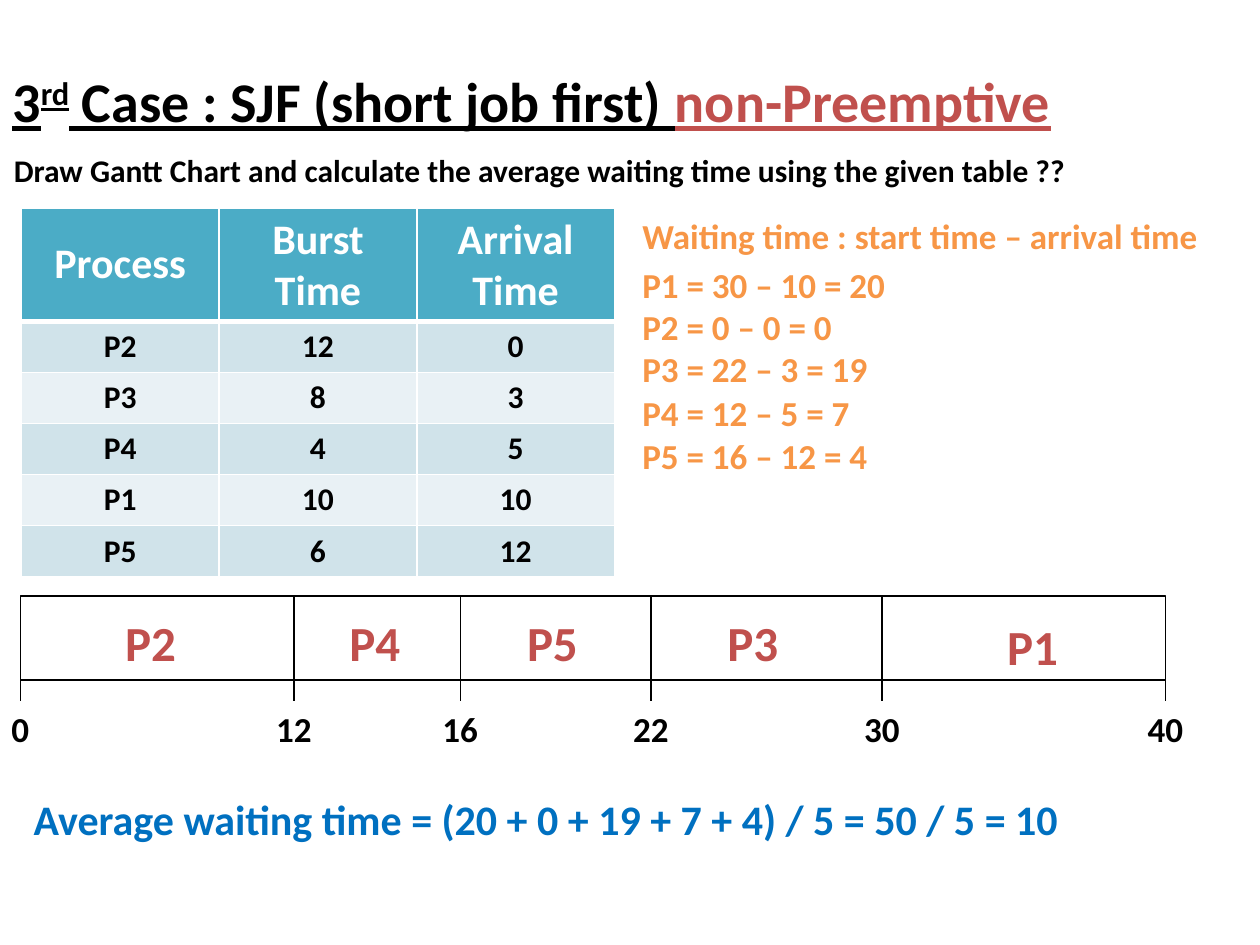
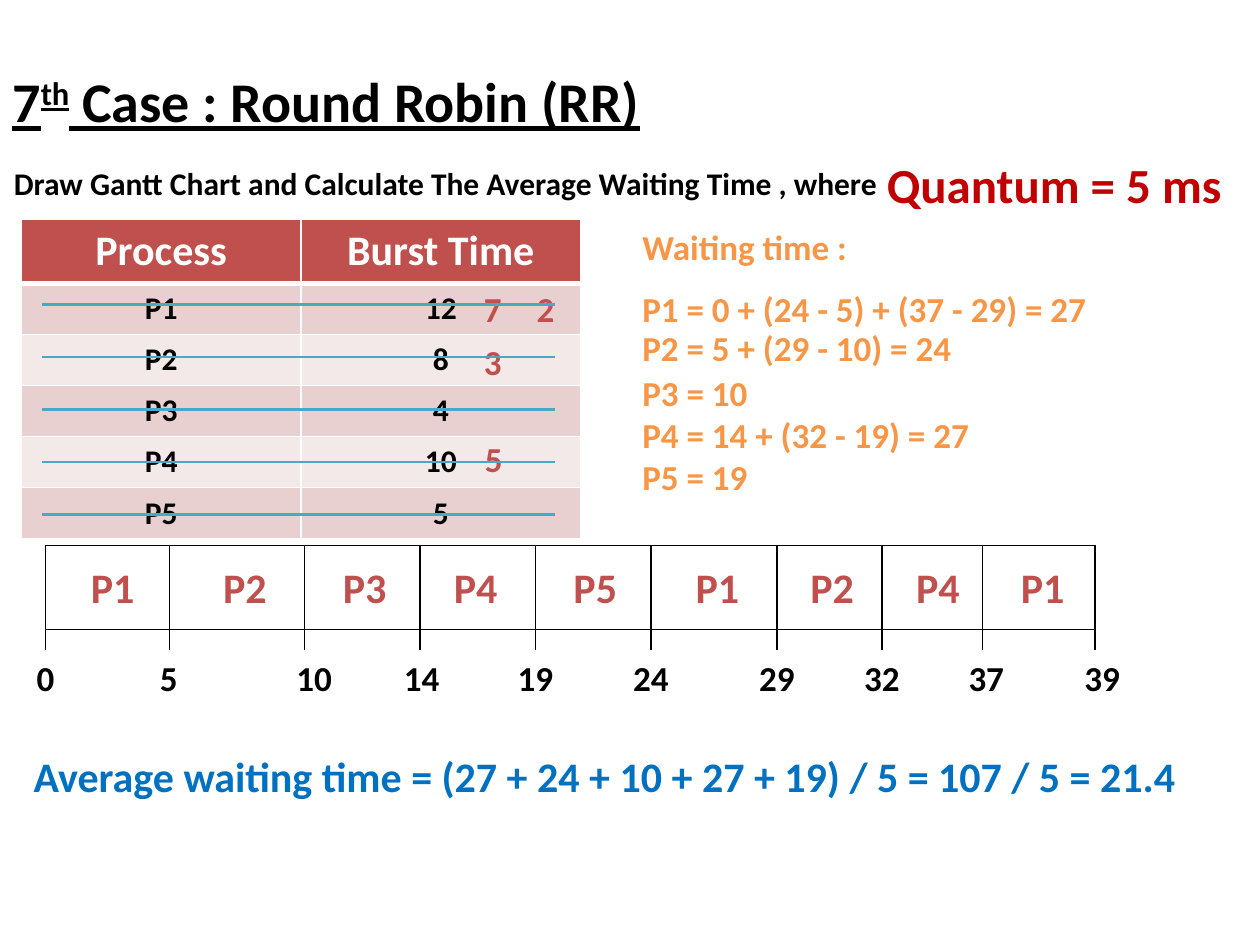
from dataclasses import dataclass

from lxml import etree
from pptx import Presentation
from pptx.dml.color import RGBColor
from pptx.enum.shapes import MSO_CONNECTOR, MSO_SHAPE
from pptx.enum.text import MSO_ANCHOR, PP_ALIGN
from pptx.oxml.ns import qn
from pptx.slide import Slide
from pptx.util import Pt

LEFT, CENTER = PP_ALIGN.LEFT, PP_ALIGN.CENTER
MIDDLE = MSO_ANCHOR.MIDDLE
STRAIGHT = MSO_CONNECTOR.STRAIGHT
RECTANGLE = MSO_SHAPE.RECTANGLE

FONT = "Calibri"
BLACK = RGBColor(0x00, 0x00, 0x00)
WHITE = RGBColor(0xFF, 0xFF, 0xFF)
RED = RGBColor(0xC0, 0x50, 0x4D)
DARK_RED = RGBColor(0xC0, 0x00, 0x00)
ORANGE = RGBColor(0xF7, 0x96, 0x46)
BLUE = RGBColor(0x00, 0x70, 0xC0)
TEAL = RGBColor(0x4B, 0xAC, 0xC6)
STRIKE = RGBColor(0x46, 0xAA, 0xC5)
TEAL_BANDS = (RGBColor(0xD0, 0xE3, 0xEA), RGBColor(0xE9, 0xF1, 0xF5))
RED_BANDS = (RGBColor(0xE8, 0xD0, 0xD0), RGBColor(0xF4, 0xE9, 0xE9))

SLIDE_W, SLIDE_H = 720, 540
ROW_H = 29.2
BAR_H = 48
TICK_H = 60
WAITING_LEFT = 360


@dataclass
class TitleRun:
    text: str
    color: RGBColor = BLACK
    superscript: bool = False


@dataclass
class ProcessTable:
    top: float
    col_w: float
    header_h: float
    header_fill: RGBColor
    bands: tuple[RGBColor, RGBColor]
    rows: list[tuple[str, ...]]  # header first


@dataclass
class Tick:
    time: str
    x: float
    label_dx: float = 0


@dataclass
class Job:
    name: str
    x: float  # centre of the name
    dy: float = 0


@dataclass
class Gantt:
    top: float
    name_size: float
    ticks: list[Tick]
    jobs: list[Job]


@dataclass
class Case:
    title: list[TitleRun]
    prompt: str
    prompt_top: float
    table: ProcessTable
    waiting: list[tuple[float, str]]  # top, text
    gantt: Gantt
    average: str
    average_top: float


SJF = Case(
    title=[
        TitleRun("3"),
        TitleRun("rd", superscript=True),
        TitleRun(" Case : SJF (short job first) "),
        TitleRun("non-Preemptive", RED),
    ],
    prompt="Draw Gantt Chart and calculate the average waiting time using the given table ??",
    prompt_top=82.8,
    table=ProcessTable(118.8, 113, 64.5, TEAL, TEAL_BANDS, [
        ("Process", "Burst Time", "Arrival Time"),
        ("P2", "12", "0"),
        ("P3", "8", "3"),
        ("P4", "4", "5"),
        ("P1", "10", "10"),
        ("P5", "6", "12"),
    ]),
    waiting=[
        (118.8, "Waiting time : start time – arrival time"),
        (147, "P1 = 30 – 10 = 20"),
        (170.8, "P2 = 0 – 0 = 0"),
        (195, "P3 = 22 – 3 = 19"),
        (220.3, "P4 = 12 – 5 = 7"),
        (244.8, "P5 = 16 – 12 = 4"),
    ],
    gantt=Gantt(
        340.6, 28,
        [Tick("0", 11.6), Tick("12", 168), Tick("16", 263),
         Tick("22", 372), Tick("30", 504), Tick("40", 666)],
        [Job("P2", 86), Job("P4", 214.2), Job("P5", 315.7),
         Job("P3", 430.2), Job("P1", 590, dy=2)],
    ),
    average="Average waiting time = (20 + 0 + 19 + 7 + 4) / 5 = 50 / 5 = 10",
    average_top=450,
)

ROUND_ROBIN = Case(
    title=[
        TitleRun("7"),
        TitleRun("th", superscript=True),
        TitleRun(" Case : Round Robin (RR)"),
    ],
    prompt="Draw Gantt Chart and Calculate The Average Waiting Time , where",
    prompt_top=90,
    table=ProcessTable(125.4, 159.8, 36.5, RED, RED_BANDS, [
        ("Process", "Burst Time"),
        ("P1", "12"),
        ("P2", "8"),
        ("P3", "4"),
        ("P4", "10"),
        ("P5", "5"),
    ]),
    waiting=[
        (125.4, "Waiting time :"),
        (160.6, "P1 = 0 + (24 - 5) + (37 - 29) = 27"),
        (183, "P2 = 5 + (29 - 10) = 24"),
        (208.8, "P3 = 10"),
        (232.6, "P4 = 14 + (32 - 19) = 27"),
        (256.6, "P5 = 19"),
    ],
    gantt=Gantt(
        311.6, 24,
        [Tick("0", 26), Tick("5", 97, -0.6), Tick("10", 174, 5.5),
         Tick("14", 240, 1), Tick("19", 306), Tick("24", 372),
         Tick("29", 444), Tick("32", 504), Tick("37", 561.6, 2),
         Tick("39", 625.8, 4)],
        [Job("P1", 64.4), Job("P2", 140), Job("P3", 208.4),
         Job("P4", 271.8), Job("P5", 340.2), Job("P1", 410),
         Job("P2", 475.6), Job("P4", 536), Job("P1", 595.8)],
    ),
    average="Average waiting time = (27 + 24 + 10 + 27 + 19) / 5 = 107 / 5 = 21.4",
    average_top=425.6,
)

# Burst time left after each turn: text, centre x, top
REMAINING = [("7", 281.6, 160.6), ("2", 311.8, 160.6),
             ("3", 281.6, 190.8), ("5", 282.2, 246.2)]


def add_text(s: Slide, x: float, y: float, w: float, text: str, size: float,
             color: RGBColor, align: PP_ALIGN = LEFT) -> None:
    tf = s.shapes.add_textbox(Pt(x), Pt(y), Pt(w), Pt(size * 1.2 + 7.2)).text_frame
    tf.word_wrap = True
    tf.text = text
    p = tf.paragraphs[0]
    p.alignment = align
    style_font(p.runs[0].font, size, color)


def style_font(font, size: float, color: RGBColor) -> None:
    font.name, font.size, font.bold = FONT, Pt(size), True
    font.color.rgb = color


def add_label(s: Slide, x: float, y: float, text: str, size: float,
              color: RGBColor) -> None:
    """Short text centred on x."""
    w = 56
    add_text(s, x - w / 2, y, w, text, size, color, CENTER)


def add_line(s: Slide, x1: float, y1: float, x2: float, y2: float,
             color: RGBColor, width: float) -> None:
    line = s.shapes.add_connector(STRAIGHT, Pt(x1), Pt(y1), Pt(x2), Pt(y2))
    line.line.color.rgb = color
    line.line.width = Pt(width)
    etree.SubElement(line._element.spPr, qn("a:effectLst"))


def add_title(s: Slide, runs: list[TitleRun]) -> None:
    tf = s.shapes.add_textbox(0, Pt(34.6), Pt(SLIDE_W), Pt(116)).text_frame
    tf.word_wrap = True
    for part in runs:
        r = tf.paragraphs[0].add_run()
        r.text = part.text
        style_font(r.font, 32, part.color)
        r.font.underline = True
        if part.superscript:
            r._r.get_or_add_rPr().set("baseline", "30000")


def add_borders(cell, top: float, bottom: float) -> None:
    tc_pr = cell._tc.get_or_add_tcPr()
    for side, width in (("L", 1), ("R", 1), ("T", top), ("B", bottom)):
        ln = etree.SubElement(tc_pr, qn(f"a:ln{side}"), w=str(Pt(width)))
        fill = etree.SubElement(ln, qn("a:solidFill"))
        etree.SubElement(fill, qn("a:srgbClr"), val=str(WHITE))


def add_process_table(s: Slide, t: ProcessTable) -> None:
    n_rows, n_cols = len(t.rows), len(t.rows[0])
    height = t.header_h + ROW_H * (n_rows - 1)
    table = s.shapes.add_table(n_rows, n_cols, Pt(12.2), Pt(t.top),
                               Pt(t.col_w * n_cols), Pt(height)).table
    for col in table.columns:
        col.width = Pt(t.col_w)
    for i, values in enumerate(t.rows):
        header = i == 0
        table.rows[i].height = Pt(t.header_h if header else ROW_H)
        for j, value in enumerate(values):
            cell = table.cell(i, j)
            add_borders(cell, top=3 if i == 1 else 1, bottom=3 if header else 1)
            cell.fill.solid()
            cell.fill.fore_color.rgb = t.header_fill if header else t.bands[(i - 1) % 2]
            cell.vertical_anchor = MIDDLE
            cell.text_frame.text = value
            p = cell.text_frame.paragraphs[0]
            p.alignment = CENTER
            style_font(p.runs[0].font, 24 if header else 18, WHITE if header else BLACK)


def add_gantt(s: Slide, g: Gantt) -> None:
    start, end = g.ticks[0].x, g.ticks[-1].x
    bar = s.shapes.add_shape(RECTANGLE, Pt(start), Pt(g.top), Pt(end - start), Pt(BAR_H))
    bar.shadow.inherit = False
    bar.fill.solid()
    bar.fill.fore_color.rgb = WHITE
    bar.line.color.rgb = BLACK
    bar.line.width = Pt(0.75)
    for tick in g.ticks:
        add_line(s, tick.x, g.top, tick.x, g.top + TICK_H, BLACK, 0.75)
        add_label(s, tick.x + tick.label_dx, g.top + TICK_H, tick.time, 20, BLACK)
    for job in g.jobs:
        add_label(s, job.x, g.top + 6 + job.dy, job.name, g.name_size, RED)


def add_case(prs: Presentation, case: Case) -> Slide:
    s = prs.slides.add_slide(prs.slide_layouts[6])
    add_title(s, case.title)
    add_process_table(s, case.table)
    add_text(s, 0.8, case.prompt_top, 718, case.prompt, 18, BLACK)
    for top, text in case.waiting:
        add_text(s, WAITING_LEFT, top, SLIDE_W - WAITING_LEFT, text, 20, ORANGE)
    add_gantt(s, case.gantt)
    add_text(s, 12.2, case.average_top, 690, case.average, 24, BLUE)
    return s


def main() -> None:
    prs = Presentation()
    prs.slide_width, prs.slide_height = Pt(SLIDE_W), Pt(SLIDE_H)
    add_case(prs, SJF)
    s = add_case(prs, ROUND_ROBIN)

    # Finished processes are struck out, with their remaining times beside them
    for text, x, top in REMAINING:
        add_label(s, x, top, text, 20, RED)
    for i in range(5):
        y = 174 + 30 * i
        add_line(s, 24, y, 317, y, STRIKE, 1.5)
    add_text(s, 499.7, 85, 215, "Quantum = 5 ms", 28, DARK_RED)

    prs.save("out.pptx")


if __name__ == "__main__":
    main()
